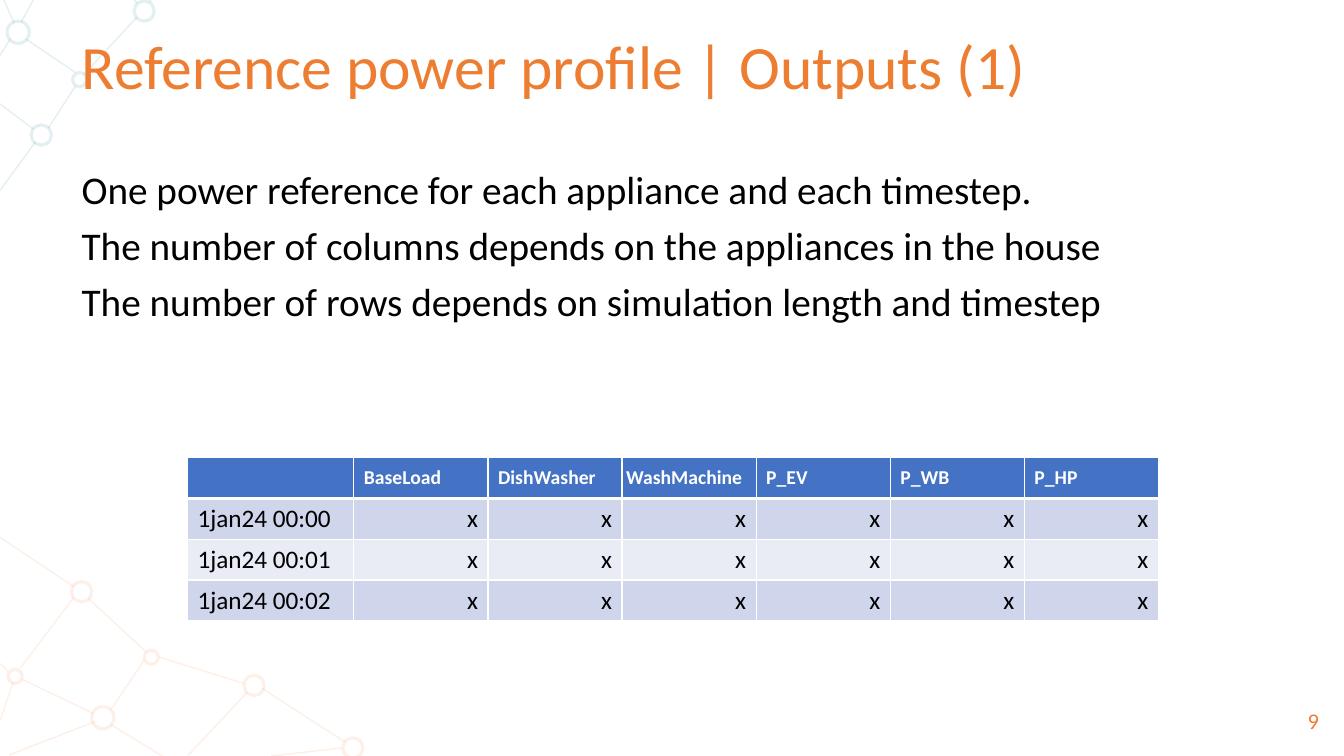
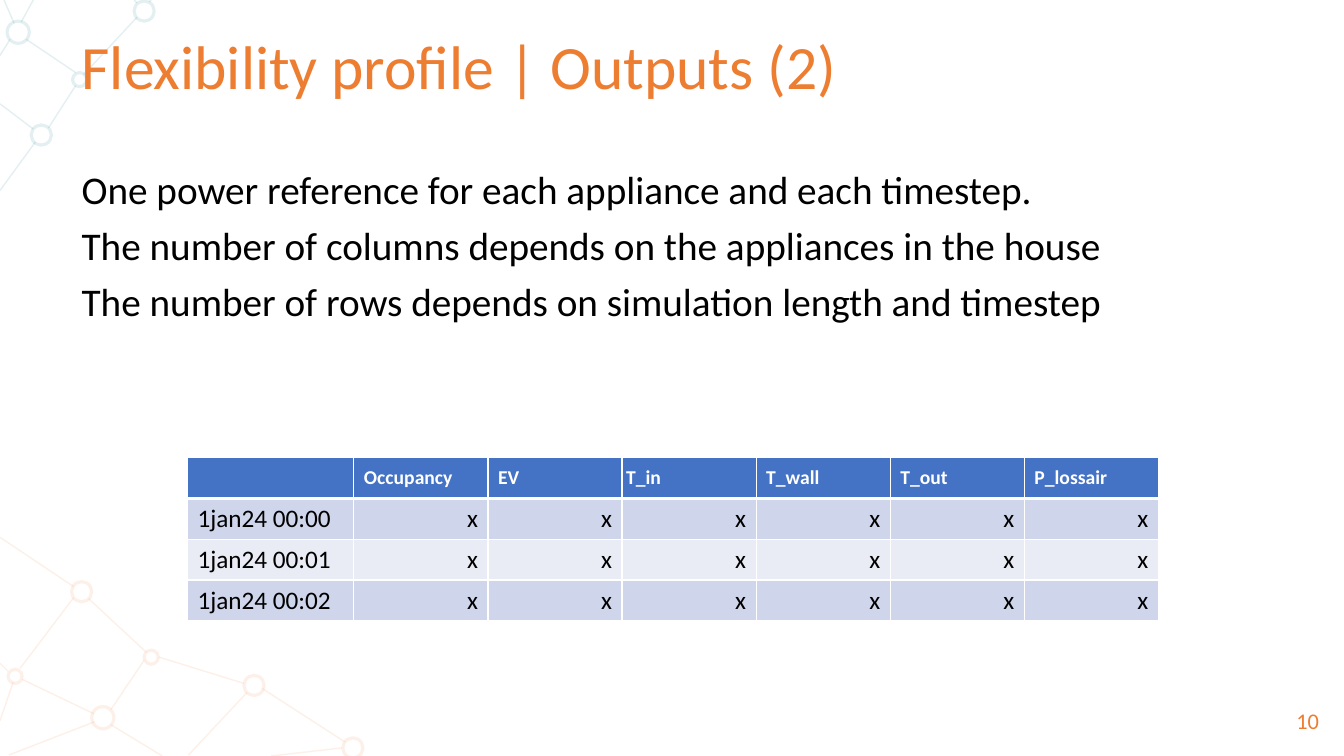
"""Build two slides that describe the output tables of a house simulation."""
from lxml.etree import SubElement
from pptx import Presentation
from pptx.dml.color import RGBColor
from pptx.enum.shapes import MSO_CONNECTOR, MSO_SHAPE
from pptx.enum.text import MSO_ANCHOR, MSO_AUTO_SIZE, PP_ALIGN
from pptx.oxml.ns import qn
from pptx.util import Inches, Pt

COLORS = {"orange": "ED7D31", "teal": "007483", "black": "000000", "white": "FFFFFF",
          "head": "4472C4", "dark": "CFD5EA", "light": "E9EBF5"}
FONT = "Calibri"
RIGHT = PP_ALIGN.RIGHT

NETS = {
    "orange": {
        "lines": [(1.1, 7.19, 1.61, 7.5), (0.94, 7.16, 0.09, 7.49), (0.13, 6.77, 0, 7.15),
                  (0.93, 7.08, 0.22, 6.74), (0, 5.33, 0.73, 5.82), (0.73, 5.93, 0.2, 6.63),
                  (0, 6.58, 0.08, 6.66), (2.45, 6.87, 1.87, 7.49), (3.39, 7.42, 2.69, 7.5),
                  (3.42, 7.36, 2.6, 6.83), (1.58, 6.52, 2.42, 6.78), (0.88, 5.94, 1.45, 6.47),
                  (1.43, 6.55, 1.1, 7.04)],
        "nodes": [(0.91, 7.01, 0.22), (0.08, 6.64, 0.14), (2.42, 6.7, 0.2),
                  (0.71, 5.77, 0.2), (1.43, 6.45, 0.14), (3.4, 7.32, 0.2)],
    },
    "teal": {
        "lines": [(0.1, 0.39, 0, 0.55), (0.14, 0.23, 0.04, 0), (0.21, 0.22, 0.33, 0),
                  (1.5, 0, 1.48, 0.02), (1.36, 0.03, 1.33, 0), (0.33, 1.28, 0, 1.03),
                  (0, 1.89, 0.35, 1.41), (0.75, 0.85, 0.48, 1.27), (1.36, 0.17, 0.83, 0.74),
                  (0.75, 0.72, 0.26, 0.39)],
        "nodes": [(0.07, 0.21, 0.22), (0.31, 1.24, 0.2), (1.33, 0.01, 0.2), (0.72, 0.72, 0.14)],
    },
}

POINTS = ["One power reference for each appliance and each timestep.",
          "The number of columns depends on the appliances in the house",
          "The number of rows depends on simulation length and timestep"]
TIMES = ["1jan24 00:00", "1jan24 00:01", "1jan24 00:02"]
PAGES = [
    (9, "Reference power profile | Outputs (1)",
     ["BaseLoad", "DishWasher", "WashMachine", "P_EV", "P_WB", "P_HP"]),
    (10, "Flexibility profile | Outputs (2)",
     ["Occupancy", "EV", "T_in", "T_wall", "T_out", "P_lossair"]),
]


def write(frame, *texts, size=18, color="black", bold=False, align=PP_ALIGN.LEFT,
          lead=1.0, before=0, anchor=MSO_ANCHOR.MIDDLE):
    frame.word_wrap = True
    frame.vertical_anchor = anchor
    for i, text in enumerate(texts):
        para = frame.paragraphs[0] if i == 0 else frame.add_paragraph()
        para.alignment = align
        para.line_spacing = lead
        para.space_before = Pt(before)
        run = para.add_run()
        run.text = text
        run.font.size = Pt(size)
        run.font.name = FONT
        run.font.bold = bold
        run.font.color.rgb = RGBColor.from_string(COLORS[color])


deck = Presentation()
deck.slide_width, deck.slide_height = Inches(13.33), Inches(7.5)
layout = deck.slide_layouts[1]
slides = [deck.slides.add_slide(layout) for page in PAGES]

# The network is drawn once and moved to the shared layout.
parts = []
for color, net in NETS.items():
    drawn = []
    for ends in net["lines"]:
        link = slides[0].shapes.add_connector(MSO_CONNECTOR.STRAIGHT, *map(Inches, ends))
        SubElement(link.element.spPr, qn("a:effectLst"))
        drawn.append((link, 1))
    for left, top, side in net["nodes"]:
        node = slides[0].shapes.add_shape(MSO_SHAPE.OVAL, *map(Inches, (left, top, side, side)))
        node.fill.background()
        node.shadow.inherit = False
        drawn.append((node, 2.25))
    for shape, width in drawn:
        shape.line.width = Pt(width)
        shape.line.color.rgb = RGBColor.from_string(COLORS[color])
        tint = shape.element.spPr.find(".//" + qn("a:ln")).find(".//" + qn("a:srgbClr"))
        SubElement(tint, qn("a:alpha"), val="11000")
        parts.append(shape.element)
for i, part in enumerate(parts):
    part.find(".//" + qn("p:cNvPr")).set("id", str(100 + i))
    layout.shapes.element.insert(2 + i, part)

for slide, (number, title, heads) in zip(slides, PAGES):
    head, body = slide.shapes.title, slide.placeholders[1]
    for box, area in ((head, (0.71, 0.04, 12.05, 1.29)), (body, (0.71, 1.64, 12.07, 5.16))):
        box.left, box.top, box.width, box.height = map(Inches, area)
        box.text_frame.auto_size = MSO_AUTO_SIZE.NONE
    write(head.text_frame, title, size=44, color="orange", lead=0.9)
    write(body.text_frame, *POINTS, size=28, lead=0.9, before=10, anchor=MSO_ANCHOR.TOP)
    for para in body.text_frame.paragraphs:
        props = para._p.get_or_add_pPr()
        props.set("marL", "0")
        props.set("indent", "0")
        SubElement(props, qn("a:buNone"))

    foot = slide.shapes.add_textbox(*map(Inches, (12.39, 6.95, 0.79, 0.4)))
    write(foot.text_frame, str(number), size=16, color="orange", align=RIGHT)

    rows = [["", *heads]] + [[time] + ["x"] * len(heads) for time in TIMES]
    grid = slide.shapes.add_table(len(rows), len(rows[0]),
                                  *map(Inches, (1.86, 4.54, 9.62, 1.62))).table
    for c, column in enumerate(grid.columns):
        column.width = Inches(1.33 if c else 1.65)
    for r, row in enumerate(rows):
        for c, text in enumerate(row):
            cell = grid.cell(r, c)
            props = cell._tc.get_or_add_tcPr()
            for side in ("lnL", "lnR", "lnT", "lnB"):
                thick = (r, side) in ((0, "lnB"), (1, "lnT"))
                edge = SubElement(props, qn("a:" + side), w=str(Pt(3 if thick else 1)))
                SubElement(SubElement(edge, qn("a:solidFill")), qn("a:srgbClr"),
                           val=COLORS["white"])
            cell.fill.solid()
            shade = "head" if r == 0 else "dark" if r % 2 else "light"
            cell.fill.fore_color.rgb = RGBColor.from_string(COLORS[shade])
            cell.vertical_anchor = MSO_ANCHOR.MIDDLE
            if r == 0 and c == 3:
                cell.margin_left, cell.margin_right = Inches(0.04), 0
            if r == 0 and text:
                write(cell.text_frame, text, size=14, color="white", bold=True)
            elif text:
                write(cell.text_frame, text, align=RIGHT if c else PP_ALIGN.LEFT)

deck.save("out.pptx")
